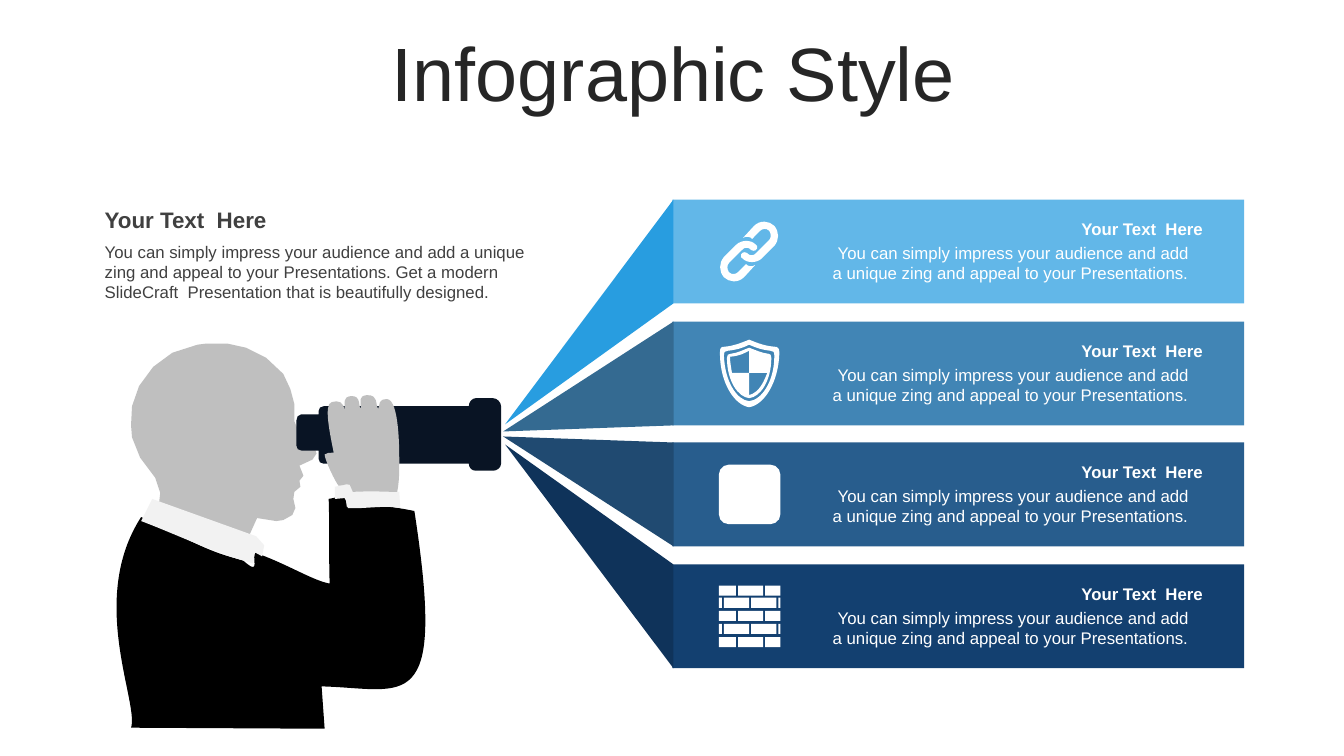
from lxml.etree import SubElement
from pptx import Presentation
from pptx.dml.color import RGBColor
from pptx.enum.shapes import MSO_SHAPE
from pptx.enum.text import MSO_ANCHOR, PP_ALIGN
from pptx.oxml.ns import qn

PX = 9144

presentation = Presentation()
presentation.slide_width = 1333 * PX
presentation.slide_height = 750 * PX
slide = presentation.slides.add_slide(presentation.slide_layouts[6])
shapes = slide.shapes
painted = []


def draw_outline(contours, color):
    builder = shapes.build_freeform(*contours[0][0], scale=PX)
    segments = []
    for index, (start, *rest) in enumerate(contours):
        if index:
            builder.move_to(*start)
        builder.add_line_segments([segment[-2:] for segment in rest], close=True)
        segments += rest
    shape = builder.convert_to_shape()
    left = min(contour_point[-2] for contour in contours for contour_point in contour)
    top = min(contour_point[-1] for contour in contours for contour_point in contour)
    lines = list(shape._element.iter(qn("a:lnTo")))
    for line, segment in zip(lines, segments):
        if len(segment) == 6:
            line.tag = qn("a:cubicBezTo")
            for point in list(line):
                line.remove(point)
            for x, y in zip(segment[::2], segment[1::2]):
                SubElement(line, qn("a:pt"), x=str(x - left), y=str(y - top))
    painted.append((shape, color))


band_tops = (198, 319, 439, 560)
band_colors = ("62B7E8", "4185B5", "285D8D", "134070")
beam_colors = ("289DE0", "346A91", "204A71", "0F335A")
beam_tips = ((501, 421), (499, 428), (499, 433), (501, 441))
for top, band_color, beam_color, tip in zip(band_tops, band_colors, beam_colors, beam_tips):
    band = shapes.add_shape(MSO_SHAPE.RECTANGLE, 667 * PX, top * PX, 567 * PX, 103 * PX)
    painted.append((band, band_color))
    draw_outline([[(668, top), (668, top + 103), tip]], beam_color)

head = [
    (219, 341), (226, 341), (244, 345), (264, 355), (281, 371), (288, 386),
    (292, 401), (292, 418), (297, 430), (313, 447), (314, 450), (310, 456),
    (297, 462), (301, 472), (297, 477), (298, 483), (292, 488), (291, 495),
    (293, 504), (290, 511), (281, 516), (274, 517), (255, 514), (246, 534),
    (236, 531), (157, 506), (159, 489), (154, 474), (139, 454), (131, 434),
    (130, 422), (131, 403), (138, 383), (152, 364), (171, 350), (196, 342),
    (204, 341),
]
binoculars = [
    (472, 395), (489, 395), (493, 395, 497, 399, 497, 403), (497, 460),
    (497, 464, 493, 467, 489, 467), (472, 467), (468, 467, 465, 464, 465, 460),
    (321, 460), (318, 460, 316, 458, 316, 455), (316, 447), (299, 447),
    (296, 447, 294, 445, 294, 442), (294, 417), (294, 414, 296, 411, 299, 411),
    (316, 411), (316, 408), (316, 405, 318, 403, 321, 403), (465, 403),
    (465, 399, 468, 395, 472, 395),
]
jacket = [
    (140, 513), (87, 595, 138, 697, 130, 722), (322, 723), (319, 681),
    (402, 683, 443, 714, 411, 507), (366, 498, 359, 502, 344, 503),
    (343, 497, 344, 498, 341, 493), (334, 492, 338, 493, 326, 495),
    (327, 524, 326, 551, 327, 579), (310, 576, 284, 559, 252, 548),
    (252, 561, 256, 569, 241, 556), (201, 546, 188, 535, 140, 513),
]
collar = [
    (140, 517), (151, 495), (254, 532), (262, 541), (260, 552), (253, 548),
    (251, 559), (211, 548, 177, 531, 140, 517),
]
cuff = [
    (332, 495), (332, 483), (350, 479), (350, 482, 353, 485, 353, 488),
    (376, 482, 375, 487, 396, 488), (397, 504), (380, 501, 362, 505, 345, 504),
    (343, 494),
]
hand = [
    (350, 488), (348, 484, 349, 484, 347, 481), (342, 480, 344, 481, 336, 482),
    (333, 479, 322, 456, 322, 451), (328, 448, 325, 450, 331, 449),
    (327, 429, 321, 401, 329, 399), (337, 397, 340, 399, 342, 407),
    (342, 399, 340, 394, 348, 393), (359, 392, 355, 405, 358, 405),
    (358, 398, 355, 393, 364, 392), (376, 392, 372, 401, 375, 406),
    (377, 401, 375, 396, 384, 396), (396, 397, 396, 446, 396, 456),
    (396, 469, 396, 477, 394, 488), (379, 488, 373, 487, 350, 488),
]
for contour, color in (
    (head, "BFBFBF"), (binoculars, "091424"), (jacket, "000000"),
    (collar, "F2F2F2"), (cuff, "F2F2F2"), (hand, "BFBFBF"),
):
    draw_outline([contour], color)

lower_link = [
    (740, 239), (744, 239, 747, 240, 750, 243), (750, 243, 751, 244, 751, 244),
    (752, 248, 748, 250, 745, 248), (743, 245, 738, 245, 736, 248), (723, 261),
    (721, 263, 721, 267, 723, 270), (726, 273, 730, 272, 732, 270), (740, 262),
    (741, 264, 746, 265, 749, 263), (738, 275),
    (732, 281, 723, 280, 718, 275), (713, 269, 713, 261, 718, 255), (730, 243),
    (733, 240, 737, 239, 740, 239),
]
upper_link = [
    tuple((1486, 499)[index % 2] - value for index, value in enumerate(segment))
    for segment in lower_link
]
draw_outline([lower_link, upper_link], "FFFFFF")

shield = [
    [(743, 370), (743, 392), (754, 389, 758, 377, 761, 370)],
    [(743, 348), (737, 351, 734, 353, 724, 354), (724, 359, 725, 364, 726, 370), (743, 370)],
    [(743, 345), (751, 348, 755, 350, 762, 351), (764, 351, 765, 352, 765, 355),
     (765, 378, 754, 394, 743, 395), (732, 394, 721, 378, 721, 355),
     (721, 352, 722, 351, 725, 351), (732, 350, 735, 348, 743, 345)],
    [(743, 342), (735, 346, 730, 347, 722, 348), (719, 348, 718, 349, 718, 353),
     (719, 379, 731, 397, 743, 398), (755, 397, 768, 379, 768, 353),
     (768, 349, 767, 348, 764, 348), (756, 347, 752, 346, 743, 342)],
    [(743, 337), (753, 341, 758, 343, 768, 344), (771, 344, 773, 345, 773, 350),
     (772, 381, 757, 402, 743, 404), (729, 402, 714, 381, 714, 350),
     (714, 345, 715, 344, 719, 344), (728, 343, 733, 341, 743, 337)],
]
draw_outline(shield, "FFFFFF")

emblem = shapes.add_shape(MSO_SHAPE.ROUNDED_RECTANGLE, 713 * PX, 461 * PX, 61 * PX, 59 * PX)
painted.append((emblem, "FFFFFF"))

brick_rows = (
    ((713, 730), (732, 757), (759, 774)),
    ((713, 716), (718, 743), (745, 770), (772, 774)),
)
bricks = []
for row in range(5):
    top = 581 + 51 * row // 4
    for left, right in brick_rows[row % 2]:
        bricks.append([(left, top), (right, top), (right, top + 10), (left, top + 10)])
draw_outline(bricks, "FFFFFF")

for shape, color in painted:
    shape.shadow.inherit = False
    shape.fill.solid()
    shape.fill.fore_color.rgb = RGBColor.from_string(color)
    shape.line.fill.background()

intro = (
    "You can simply impress your audience and add a unique zing and appeal to your "
    "Presentations. Get a modern SlideCraft  Presentation that is beautifully designed."
)
band_text = "You can simply impress your audience and add a unique zing and appeal to your Presentations."
title = "Infographic Style"
heading = "Your Text  Here"
texts = [
    (title, (35, 37, 1266, 79), "262626", {"size": 54}, {"alignment": PP_ALIGN.CENTER, "line_spacing": 0.9}),
    (intro, (94, 235, 451, 71), "404040", {"size": 12}, {}),
    (heading, (94, 200, 451, 37), "404040", {"size": 16, "bold": True}, {}),
]
for top in band_tops:
    texts.append((band_text, (802, top + 38, 401, 50), "FFFFFF", {"size": 12}, {"alignment": PP_ALIGN.LEFT}))
    texts.append((heading, (802, top + 14, 401, 30), "FFFFFF", {"size": 12, "bold": True}, {"alignment": PP_ALIGN.RIGHT}))

for text, box, color, font_format, paragraph_format in texts:
    text_box = shapes.add_textbox(*(length * PX for length in box))
    frame = text_box.text_frame
    frame.word_wrap = True
    paragraph = frame.paragraphs[0]
    paragraph.text = text
    if text == band_text:
        properties = paragraph._p.get_or_add_pPr()
        properties.set("marL", str(14 * PX))
        properties.set("indent", str(5 * PX))
    if text == title:
        frame.vertical_anchor = MSO_ANCHOR.MIDDLE
    for name, value in paragraph_format.items():
        setattr(paragraph, name, value)
    font = paragraph.runs[0].font
    for name, value in {"name": "Arial", **font_format}.items():
        setattr(font, name, value * 12700 if name == "size" else value)
    font.color.rgb = RGBColor.from_string(color)

presentation.save("out.pptx")
